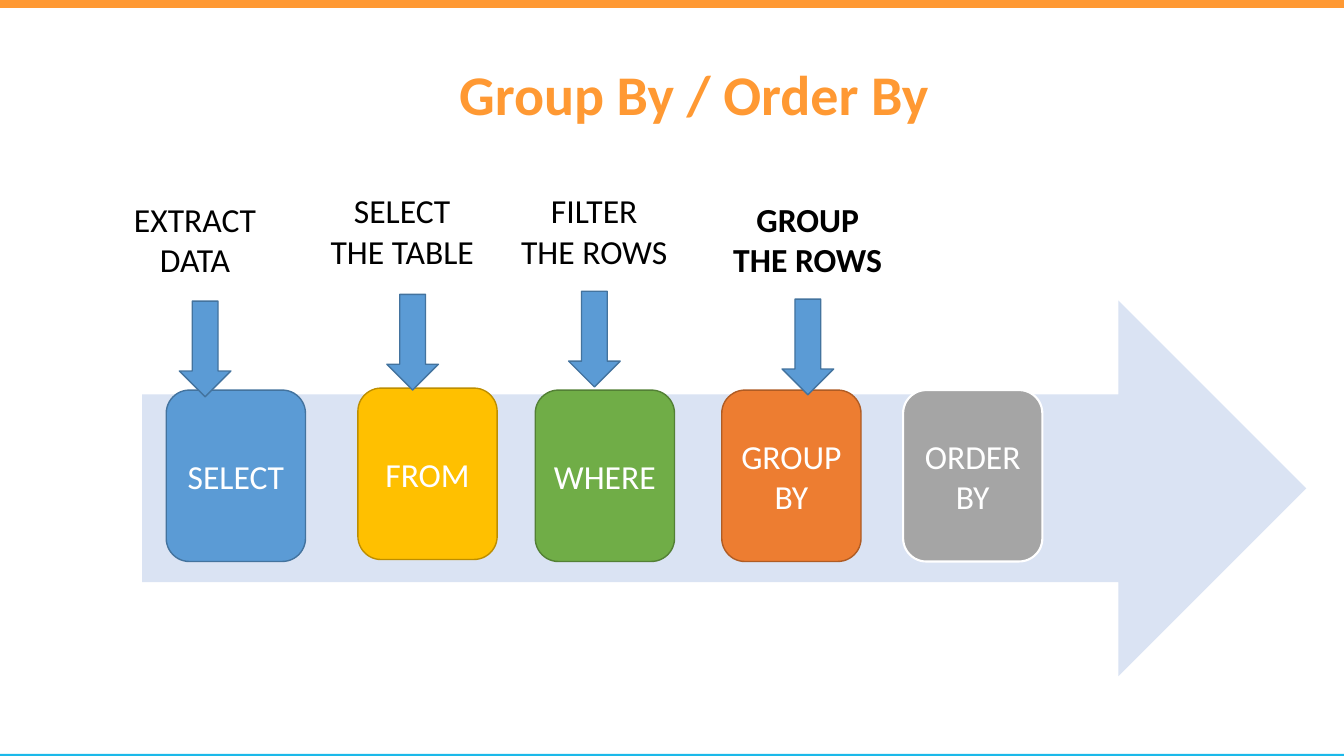
from pptx import Presentation
from pptx.dml.color import RGBColor
from pptx.enum.shapes import MSO_SHAPE as Shape
from pptx.enum.text import MSO_ANCHOR as Anchor, MSO_AUTO_SIZE as AutoSize, PP_ALIGN as Align
from pptx.util import Cm, Pt

COLORS = {
    "orange": "FF9933", "cyan": "1BB9EA", "pale": "DAE3F3",
    "blue": "5B9BD5", "blue edge": "43739E",
    "gold": "FFC000", "gold edge": "BD8E00",
    "green": "70AD47", "green edge": "538035",
    "rust": "ED7D31", "rust edge": "AF5C24",
    "gray": "A5A5A5", "white": "FFFFFF", "black": "000000",
}
WIDTH, HEIGHT = 33.87, 19.05


def color(name):
    return RGBColor.from_string(COLORS[name])


class SlideBuilder:
    font = "Calibri"

    def __init__(self, deck):
        self.slide = deck.slides.add_slide(deck.slide_layouts[5])

    def set_text(self, shape, text, size, ink, bold=False, anchor=Anchor.TOP):
        frame = shape.text_frame
        frame.text = text
        frame.vertical_anchor = anchor
        for para in frame.paragraphs:
            para.alignment = Align.CENTER
            for span in para.runs:
                span.font.name = self.font
                span.font.size = Pt(size)
                span.font.bold = bold
                span.font.color.rgb = color(ink)

    def title(self, text, left, top, width, height):
        box = self.slide.shapes.title
        box.left, box.top, box.width, box.height = map(Cm, (left, top, width, height))
        self.set_text(box, text, 40, "orange", bold=True)
        box.text_frame.auto_size = AutoSize.NONE
        box.text_frame.word_wrap = False

    def shape(self, kind, left, top, width, height, fill, edge=None, weight=1):
        shape = self.slide.shapes.add_shape(kind, *map(Cm, (left, top, width, height)))
        shape.shadow.inherit = False
        shape.fill.solid()
        shape.fill.fore_color.rgb = color(fill)
        if edge:
            shape.line.color.rgb = color(edge)
            shape.line.width = Pt(weight)
        else:
            shape.line.fill.background()
        return shape

    def clause(self, text, left, top, fill, edge, weight):
        box = self.shape(Shape.ROUNDED_RECTANGLE, left, top, 3.51, 4.32, fill, edge, weight)
        self.set_text(box, text, 24, "white", anchor=Anchor.MIDDLE)
        box.text_frame.word_wrap = True

    def label(self, text, left, top, width, bold):
        box = self.slide.shapes.add_textbox(*map(Cm, (left, top, width, 2.31)))
        self.set_text(box, text, 24, "black", bold)
        box.text_frame.word_wrap = False

    def pointer(self, left, top):
        self.shape(Shape.DOWN_ARROW, left, top, 1.3, 2.41, "blue", "blue edge")


def main():
    deck = Presentation()
    deck.slide_width, deck.slide_height = Cm(WIDTH), Cm(HEIGHT)
    page = SlideBuilder(deck)

    page.shape(Shape.RECTANGLE, 0, 0, WIDTH, 0.2, "orange")
    page.shape(Shape.RECTANGLE, 0, HEIGHT - 0.05, WIDTH, 0.05, "cyan")
    page.title("Group By / Order By", 11.25, 1.37, 12.47, 1.96)
    page.shape(Shape.RIGHT_ARROW, 3.58, 7.57, 29.34, 9.47, "pale")

    clauses = [
        ("SELECT", 4.19, 9.83, "blue", "blue edge", 1),
        ("FROM", 9.02, 9.78, "gold", "gold edge", 1),
        ("WHERE", 13.49, 9.83, "green", "green edge", 1),
        ("GROUP BY", 18.19, 9.83, "rust", "rust edge", 1),
        ("ORDER\vBY", 22.76, 9.83, "gray", "white", 1.5),
    ]
    for clause in clauses:
        page.clause(*clause)

    labels = [
        ("EXTRACT\nDATA", 3.1, 4.88, 3.63, False),
        ("SELECT\nTHE TABLE", 8.05, 4.67, 4.17, False),
        ("FILTER\nTHE ROWS", 12.83, 4.67, 4.29, False),
        ("GROUP\nTHE ROWS", 18.21, 4.88, 4.29, True),
    ]
    pointers = [(4.52, 7.59), (9.75, 7.42), (14.33, 7.34), (19.71, 7.54)]
    for label, pointer in zip(labels, pointers):
        page.label(*label)
        page.pointer(*pointer)

    deck.save("out.pptx")


if __name__ == "__main__":
    main()
